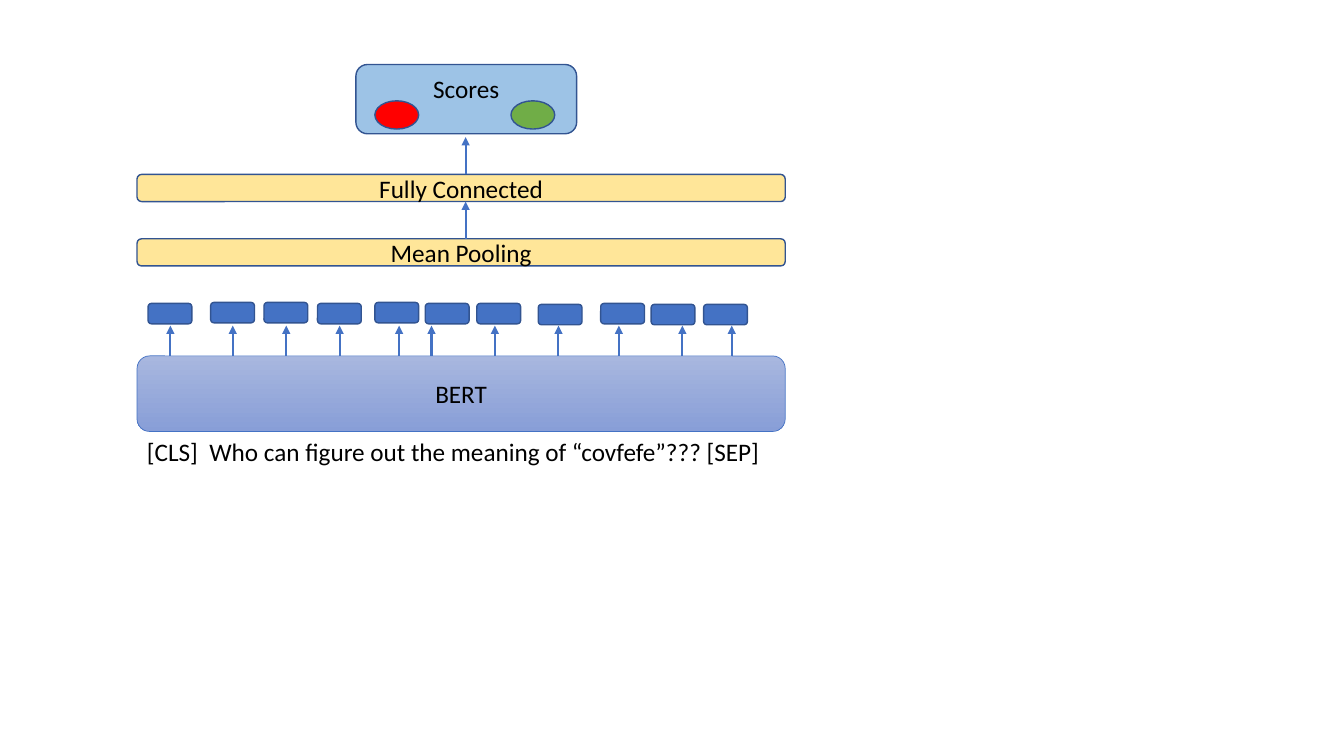
from lxml import etree
from pptx import Presentation
from pptx.dml.color import RGBColor
from pptx.enum import shapes, text
from pptx.oxml.ns import qn
from pptx.util import Pt

COLORS = {
    "black": "000000",
    "blue": "4472C4",
    "navy": "325491",
    "yellow": "FFE699",
    "sky": "9DC3E6",
    "red": "FF0000",
    "green": "70AD47",
    "bert_top": "A8B7DF",
    "bert_bottom": "889ED7",
}
ROUND = shapes.MSO_SHAPE.ROUNDED_RECTANGLE
OVAL = shapes.MSO_SHAPE.OVAL
MIDDLE = text.MSO_ANCHOR.MIDDLE
TOP = text.MSO_ANCHOR.TOP
CENTER = text.PP_ALIGN.CENTER
LEFT = text.PP_ALIGN.LEFT

STACK_LEFT, STACK_WIDTH = 97.9, 463
BERT_TOP = 254.2
FLOW_X = 332.6
TOKENS = [
    (105.8, 216.7, 121.7),
    (150.5, 216, 166.3),
    (188.6, 216, 204.5),
    (226.8, 216.7, 242.6),
    (267.8, 216, 285.1),
    (303.8, 216.7, 308.2),
    (340.6, 216.7, 353.5),
    (384.5, 217.4, 398.9),
    (429.1, 216.7, 442.1),
    (465.1, 217.4, 487.4),
    (502.6, 217.4, 522.7),
]


def color(name):
    return RGBColor.from_string(COLORS[name])


def write(sp, content, size=18, font="Calibri", ink="black", align=CENTER, anchor=MIDDLE):
    tf = sp.text_frame
    tf.word_wrap = True
    tf.vertical_anchor = anchor
    p = tf.paragraphs[0]
    p.alignment = align
    r = p.add_run()
    r.text = content
    r.font.size = Pt(size)
    r.font.name = font
    r.font.color.rgb = color(ink)


def add_block(s, kind, left, top, width, height, fill, line="navy", weight=1):
    sp = s.shapes.add_shape(kind, Pt(left), Pt(top), Pt(width), Pt(height))
    sp.shadow.inherit = False
    if isinstance(fill, tuple):
        sp.fill.gradient()
        sp.fill.gradient_angle = 270
        for stop, name in zip(sp.fill.gradient_stops, fill):
            stop.color.rgb = color(name)
    else:
        sp.fill.solid()
        sp.fill.fore_color.rgb = color(fill)
    sp.line.color.rgb = color(line)
    sp.line.width = Pt(weight)
    return sp


def add_up_arrow(s, x, bottom, top):
    c = s.shapes.add_connector(shapes.MSO_CONNECTOR.STRAIGHT, Pt(x), Pt(bottom), Pt(x), Pt(top))
    c.line.color.rgb = color("blue")
    c.line.width = Pt(1.5)
    etree.SubElement(c.line._get_or_add_ln(), qn("a:tailEnd"), type="triangle")
    etree.SubElement(c._element.spPr, qn("a:effectLst"))


def add_layer(s, label, top):
    sp = add_block(s, ROUND, STACK_LEFT, top, STACK_WIDTH, 19.4, "yellow")
    write(sp, label)


def add_encoder(s):
    bert = add_block(s, ROUND, STACK_LEFT, BERT_TOP, STACK_WIDTH, 54,
                     ("bert_top", "bert_bottom"), line="blue", weight=0.5)
    write(bert, "BERT")
    sentence = s.shapes.add_textbox(Pt(STACK_LEFT), Pt(308.2), Pt(470.9), Pt(28.8))
    write(sentence, "[CLS]  Who can figure out the meaning of “covfefe”??? [SEP]",
          align=LEFT, anchor=TOP)


def add_tokens(s):
    for left, top, arrow_x in TOKENS:
        add_up_arrow(s, arrow_x, BERT_TOP, 232.6)
        add_block(s, ROUND, left, top, 31.3, 14.6, "blue")


def add_scores(s):
    scores = add_block(s, ROUND, 254.2, 46.1, 157.7, 49.5, "sky")
    write(scores, "Scores", anchor=TOP)
    for left, fill in ((267.8, "red"), (365, "green")):
        add_block(s, OVAL, left, 72, 31.3, 20.2, fill)


def main():
    prs = Presentation()
    prs.slide_width, prs.slide_height = Pt(960), Pt(540)
    s = prs.slides.add_slide(prs.slide_layouts[6])
    add_encoder(s)
    add_tokens(s)
    add_layer(s, "Mean Pooling", 170.6)
    add_layer(s, "Fully Connected", 124.6)
    add_up_arrow(s, FLOW_X, 170.6, 144)
    add_up_arrow(s, FLOW_X, 124.6, 97.9)
    add_scores(s)
    prs.save("out.pptx")


if __name__ == "__main__":
    main()
